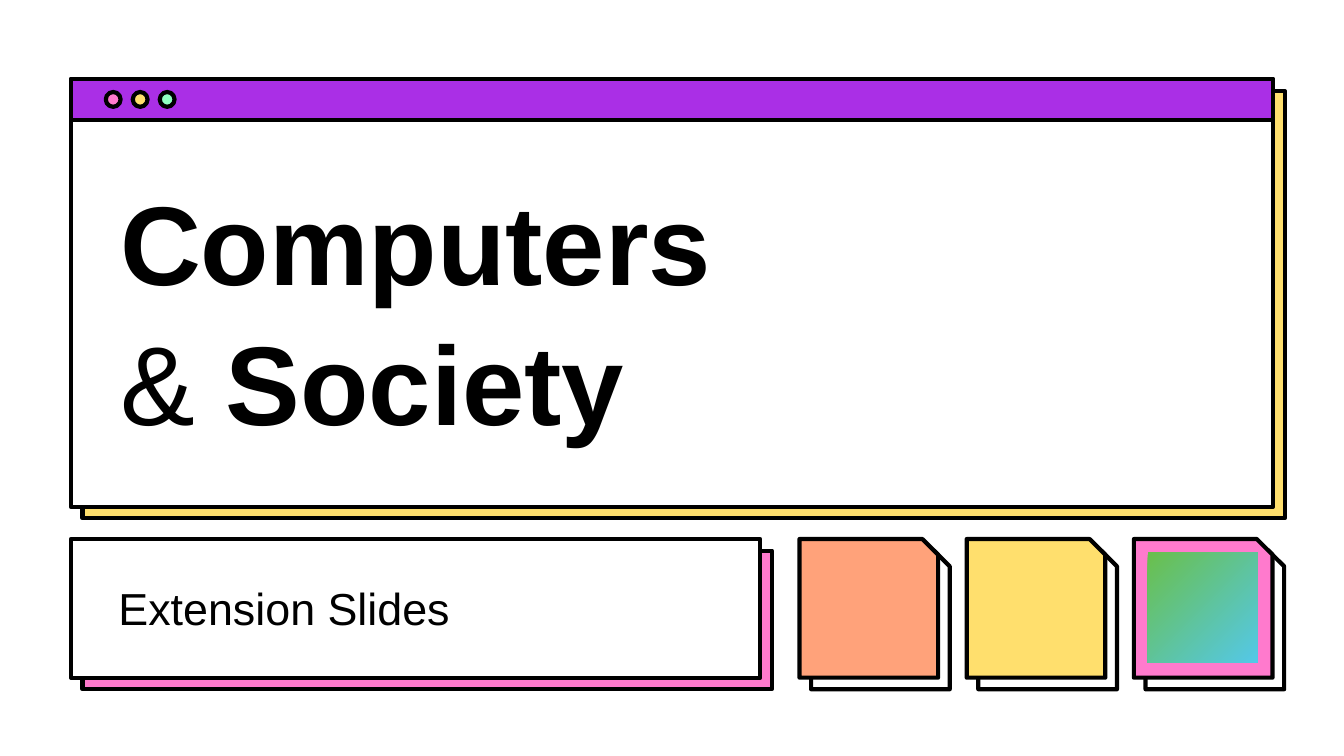
from dataclasses import dataclass

import pptx
import pptx.dml.color
import pptx.enum.shapes
import pptx.enum.text
import pptx.util

Cm = pptx.util.Cm
Kind = pptx.enum.shapes.MSO_SHAPE
Anchor = pptx.enum.text.MSO_ANCHOR


@dataclass(frozen=True)
class Theme:
    black: str = "000000"
    white: str = "FFFFFF"
    purple: str = "AA2FE6"
    pink: str = "FF7ACD"
    yellow: str = "FFDF6D"
    mint: str = "8FFFC1"
    orange: str = "FFA27A"
    green: str = "6ABF4B"
    blue: str = "54C8E8"
    font: str = "Arial"
    title_size: float = 60
    subtitle_size: float = 24
    outline: float = 2.25
    snip: float = 0.113
    shadow_offset: float = 0.22


def color(code):
    return pptx.dml.color.RGBColor.from_string(code)


def assign(target, values):
    for name, value in values.items():
        setattr(target, name, value)


class Board:
    """Holds the theme and the slide being drawn."""

    def __init__(self, slide, theme):
        self.slide = slide
        self.theme = theme

    def shape(self, kind, left, top, width, height, fill):
        shape = self.slide.shapes.add_shape(
            kind, Cm(left), Cm(top), Cm(width), Cm(height))
        shape.shadow.inherit = False
        shape.fill.solid()
        shape.fill.fore_color.rgb = color(fill)
        shape.line.color.rgb = color(self.theme.black)
        shape.line.width = pptx.util.Pt(self.theme.outline)
        if kind == Kind.SNIP_1_RECTANGLE:
            shape.adjustments[0] = self.theme.snip
        return shape

    def raised(self, kind, left, top, width, height, fill, shadow):
        offset = self.theme.shadow_offset
        self.shape(kind, left + offset, top + offset, width, height, shadow)
        self.shape(kind, left, top, width, height, fill)

    def gradient_square(self, left, top, size, start, end):
        shape = self.shape(Kind.RECTANGLE, left, top, size, size, start)
        shape.line.fill.background()
        shape.fill.gradient()
        shape.fill.gradient_angle = 315
        for stop, code in zip(shape.fill.gradient_stops, (start, end)):
            stop.color.rgb = color(code)

    def text(self, left, top, width, height, lines, size, anchor, spacing=1.0):
        """Each line is a list of (words, bold) pairs."""
        box = self.slide.shapes.add_textbox(
            Cm(left), Cm(top), Cm(width), Cm(height))
        inset = Cm(0.25)
        assign(box.text_frame, {
            "word_wrap": True, "vertical_anchor": anchor,
            "margin_left": inset, "margin_right": inset,
            "margin_top": inset, "margin_bottom": inset})
        paragraph = box.text_frame.paragraphs[0]
        paragraph.line_spacing = spacing
        for index, line in enumerate(lines):
            if index:
                paragraph.add_line_break()
            for words, bold in line:
                run = paragraph.add_run()
                run.text = words
                assign(run.font, {"name": self.theme.font, "bold": bold,
                                  "size": pptx.util.Pt(size)})
                run.font.color.rgb = color(self.theme.black)


def main():
    theme = Theme()
    presentation = pptx.Presentation()
    presentation.slide_width = Cm(25.4)
    presentation.slide_height = Cm(14.29)
    slide = presentation.slides.add_slide(presentation.slide_layouts[6])
    board = Board(slide, theme)

    left, window_top, window_width = 1.34, 1.5, 22.72
    row_top, row_height = 10.19, 2.62

    # Browser window with its title bar and buttons
    board.raised(Kind.RECTANGLE, left, window_top, window_width, 8.08,
                 theme.white, theme.yellow)
    board.shape(Kind.RECTANGLE, left, window_top, window_width, 0.77,
                theme.purple)
    for index, fill in enumerate((theme.pink, theme.yellow, theme.mint)):
        board.shape(Kind.OVAL, 2 + index * 0.51, 1.74, 0.28, 0.28, fill)

    # Subtitle panel
    board.raised(Kind.RECTANGLE, left, row_top, 13.03, row_height,
                 theme.white, theme.pink)

    # Tiles with a cut corner
    for index, fill in enumerate((theme.orange, theme.yellow, theme.pink)):
        board.raised(Kind.SNIP_1_RECTANGLE, 15.11 + index * 3.16, row_top,
                     row_height, row_height, fill, theme.white)
    board.gradient_square(21.69, 10.44, 2.08, theme.green, theme.blue)

    # Title and subtitle
    board.text(2.02, 3.15, 21.41, 5.56,
               [[("Computers", True)], [("& ", False), ("Society", True)]],
               theme.title_size, Anchor.BOTTOM, 1.04)
    board.text(1.99, 10.72, 11.53, 1.68, [[("Extension Slides", False)]],
               theme.subtitle_size, Anchor.TOP)

    presentation.save("out.pptx")


if __name__ == "__main__":
    main()
